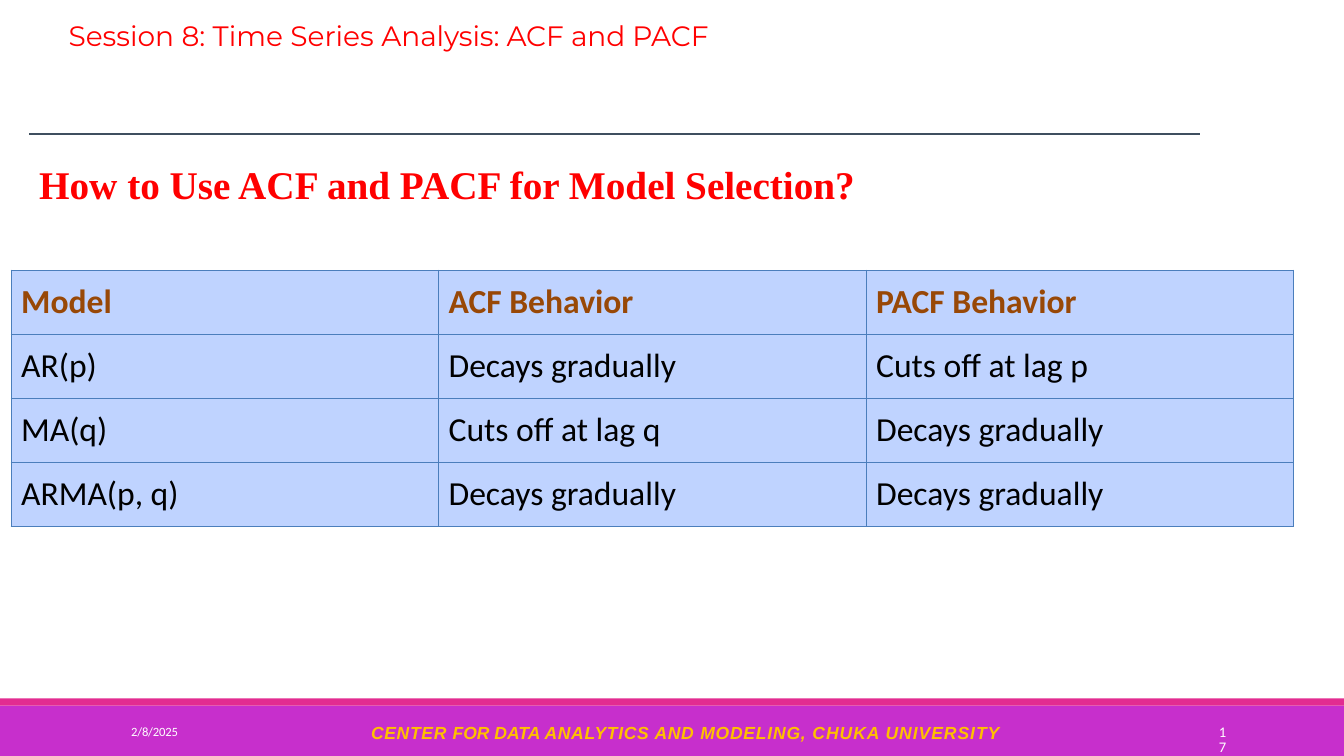
import pptx
import pptx.util
import pptx.dml.color
import pptx.enum.shapes
import pptx.enum.text
import pptx.oxml.ns
import lxml.etree

WIDE, HIGH = 13.33, 7.5
RED, WHITE, BLUE = "FF0000", "FFFFFF", "4B7EBC"
ANCHOR = pptx.enum.text.MSO_ANCHOR
ROWS = [
    ["Model", "ACF Behavior", "PACF Behavior"],
    ["AR(p)", "Decays gradually", "Cuts off at lag p"],
    ["MA(q)", "Cuts off at lag q", "Decays gradually"],
    ["ARMA(p, q)", "Decays gradually", "Decays gradually"],
]


def color(code):
    """Turn a hex string into a colour."""
    return pptx.dml.color.RGBColor.from_string(code)


def inch(*vals):
    """Turn numbers into lengths in inches."""
    return [pptx.util.Inches(val) for val in vals]


def apply(item, form):
    """Set each attribute named in a dict."""
    for key, val in form.items():
        setattr(item, key, val)


def style(run, size, face, code, **form):
    """Format the font of a run."""
    apply(run.font, dict(size=pptx.util.Pt(size), name=face, **form))
    run.font.color.rgb = color(code)


def write(shape, box, parts, look, pads=(0, 0, 0, 0), anchor=ANCHOR.TOP,
          lead=None, **form):
    """Place a text shape and fill it with (text, tracking) parts."""
    apply(shape, dict(zip(("left", "top", "width", "height"), inch(*box))))
    frame = shape.text_frame
    sides = ("margin_left", "margin_top", "margin_right", "margin_bottom")
    apply(frame, dict(zip(sides, inch(*pads))))
    apply(frame, dict(word_wrap=True, vertical_anchor=anchor,
                      auto_size=pptx.enum.text.MSO_AUTO_SIZE.NONE))
    para = frame.paragraphs[0]
    para.alignment = pptx.enum.text.PP_ALIGN.LEFT
    if lead:
        para.line_spacing = pptx.util.Pt(lead)
    for text, track in parts:
        run = para.add_run()
        run.text = text
        style(run, *look, **form)
        run.font._element.set("spc", str(round(track * 100)))


def label(slide, box, *args, **form):
    """Add a text box."""
    write(slide.shapes.add_textbox(*inch(*box)), box, *args, **form)


def band(slide, box, code):
    """Add a plain coloured bar."""
    bar = slide.shapes.add_shape(
        pptx.enum.shapes.MSO_SHAPE.RECTANGLE, *inch(*box))
    bar.shadow.inherit = False
    bar.fill.solid()
    bar.fill.fore_color.rgb = color(code)
    bar.line.fill.background()


def header(slide, left, top, wide):
    """Add the session title, the rule and the heading."""
    write(slide.shapes.title, (left + 0.38, top, 9.99, 0.35),
          [("Session 8: Time Series ", 0), ("Analysis: ACF and PACF", -0.1)],
          (20, "Montserrat", RED), (0.01, 0.02, 0, 0), bold=False)
    rule = slide.shapes.add_connector(
        pptx.enum.shapes.MSO_CONNECTOR.STRAIGHT,
        *inch(left, top + 1.17, left + wide, top + 1.17))
    rule.line.color.rgb = color("3F4F5F")
    rule.line.width = pptx.util.Pt(0.96)
    lxml.etree.SubElement(rule._element.spPr,
                          pptx.oxml.ns.qn("a:effectLst"))
    label(slide, (left, top + 1.36, 10.25, 0.6),
          [("How to Use ACF and PACF for Model Selection?", 0)],
          (28, "Times New Roman", RED), (0.1, 0.05, 0.1, 0.05),
          ANCHOR.MIDDLE, bold=True)


def border(cell):
    """Draw thin lines on the four sides of a cell."""
    props = cell._tc.get_or_add_tcPr()
    for spot, side in enumerate(("lnL", "lnR", "lnT", "lnB")):
        props.insert(spot, pptx.oxml.parse_xml(
            f'<a:{side} {pptx.oxml.ns.nsdecls("a")} w="9525"><a:solidFill>'
            f'<a:srgbClr val="{BLUE}"/></a:solidFill></a:{side}>'))


def grid(slide, box):
    """Add the table of models."""
    table = slide.shapes.add_table(
        len(ROWS), len(ROWS[0]), *inch(*box)).table
    for row, texts in enumerate(ROWS):
        for col, text in enumerate(texts):
            cell = table.cell(row, col)
            cell.fill.solid()
            cell.fill.fore_color.rgb = color("BFD3FF")
            cell.vertical_anchor = ANCHOR.MIDDLE
            border(cell)
            run = cell.text_frame.paragraphs[0].add_run()
            run.text = text
            style(run, 24, "Calibri", "000000" if row else "984807",
                  bold=row == 0)


def footer(slide, top):
    """Add the bars, the date, the centre name and the page number."""
    band(slide, (0, top, WIDE, HIGH - top), "C72FCC")
    band(slide, (0, top - 0.07, WIDE, 0.07), "E22C91")
    label(slide, (3.67, top + 0.11, 6.39, 0.28),
          [("CENTER ", 0.5), ("FOR DATA ", 0), ("ANALYTICS AND ", 0.5),
           ("MODELING, ", 0.6), ("CHUKA UNIVERSITY", 0.7)],
          (12.5, "Arial", "FFC000"), (0.01, 0.05, 0, 0),
          bold=True, italic=True)
    label(slide, (1.29, top + 0.2, 0.51, 0.15), [("2/8/2025", -0.1)],
          (9, "Calibri", WHITE), (0.01, 0, 0, 0), lead=9.7)
    label(slide, (12.05, top + 0.19, 0.17, 0.17), [("17", -0.5)],
          (10.5, "Calibri", WHITE), (0.04, 0, 0, 0), lead=11)


def main():
    """Build and save the slide."""
    deck = pptx.Presentation()
    deck.slide_width, deck.slide_height = inch(WIDE, HIGH)
    slide = deck.slides.add_slide(deck.slide_layouts[5])
    footer(slide, 7)
    header(slide, 0.29, 0.16, 11.61)
    grid(slide, (0.11, 2.68, 12.72, 2.54))
    deck.save("out.pptx")


if __name__ == "__main__":
    main()
